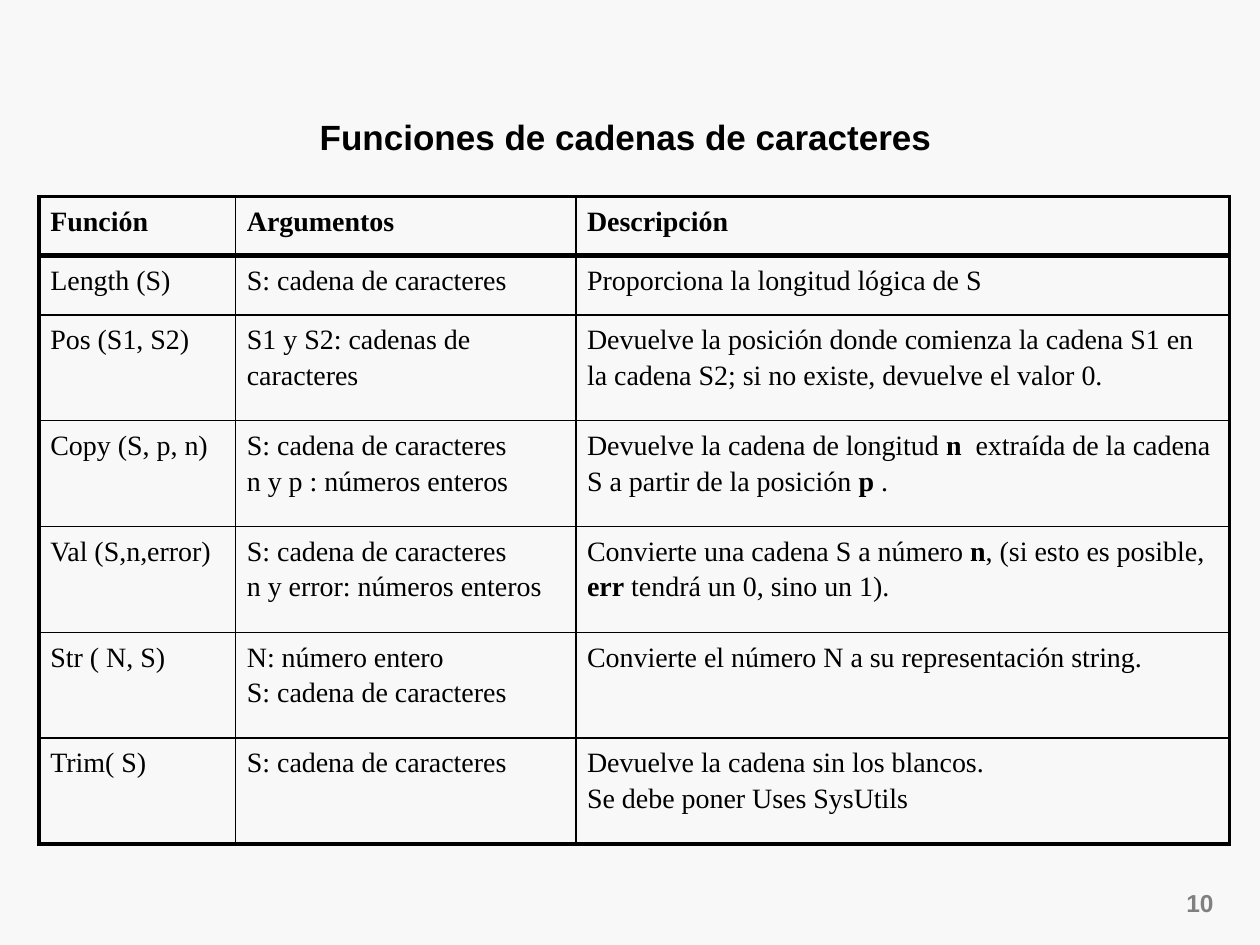
"""Build a slide with a table of Pascal string functions."""
from dataclasses import dataclass

from lxml.etree import SubElement
from pptx import Presentation
from pptx.dml.color import RGBColor
from pptx.enum.text import MSO_ANCHOR, PP_ALIGN
from pptx.oxml.ns import qn
from pptx.table import _Cell
from pptx.text.text import Font
from pptx.util import Inches, Pt

BLACK = RGBColor(0x00, 0x00, 0x00)
GRAY = RGBColor(0x80, 0x80, 0x80)
PAPER = RGBColor(0xF8, 0xF8, 0xF8)
THIN, EDGE, RULE = 1, 2.25, 3
WIDTHS = (1.56, 2.7, 5.19)
SHORT, TALL = 0.47, 0.84


@dataclass
class Entry:
    """One row; ** marks bold text and a line feed starts a paragraph."""
    name: str
    args: str
    text: str
    height: float = TALL


ENTRIES = (
    Entry("**Función**", "**Argumentos**", "**Descripción**", SHORT),
    Entry("Length (S)", "S: cadena de caracteres",
          "Proporciona la longitud lógica de S", SHORT),
    Entry("Pos (S1, S2)", "S1 y S2: cadenas de caracteres",
          "Devuelve la posición donde comienza la cadena S1 en la cadena S2; "
          "si no existe, devuelve el valor 0."),
    Entry("Copy (S, p, n)", "S: cadena de caracteres\nn y p : números enteros",
          "Devuelve la cadena de longitud **n**  extraída de la cadena S "
          "a partir de la posición **p** ."),
    Entry("Val (S,n,error)", "S: cadena de caracteres\nn y error: números enteros",
          "Convierte una cadena S a número **n**, (si esto es posible, "
          "**err** tendrá un 0, sino un 1)."),
    Entry("Str ( N, S)", "N: número entero\nS: cadena de caracteres",
          "Convierte el número N a su representación string."),
    Entry("Trim( S)", "S: cadena de caracteres",
          "Devuelve la cadena sin los blancos.\nSe debe poner Uses SysUtils"),
)


def style(font: Font, name: str, size: float, color: RGBColor) -> None:
    """Set the face, size and colour of a font."""
    font.name, font.size = name, Pt(size)
    font.color.rgb = color


def write(cell: _Cell, text: str) -> None:
    """Fill a cell with marked-up text."""
    cell.margin_left = cell.margin_right = Inches(0.09)
    cell.margin_top = cell.margin_bottom = Inches(0.04)
    frame = cell.text_frame
    for i, line in enumerate(text.split("\n")):
        para = frame.add_paragraph() if i else frame.paragraphs[0]
        para.line_spacing = 1.15
        style(para.font, "Times New Roman", 16, BLACK)
        for j, part in enumerate(line.split("**")):
            if part:
                run = para.add_run()
                run.text = part
                run.font.bold = j % 2 == 1


def border(cell: _Cell, sides: dict[str, float]) -> None:
    """Draw the four borders of a cell and leave it unfilled."""
    props = cell._tc.get_or_add_tcPr()
    for side, width in sides.items():
        line = SubElement(props, qn(f"a:ln{side}"), w=str(Pt(width)))
        fill = SubElement(line, qn("a:solidFill"))
        SubElement(fill, qn("a:srgbClr"), val=str(BLACK))
    cell.fill.background()


def main() -> None:
    """Build and save the slide."""
    deck = Presentation()
    deck.slide_width, deck.slide_height = Inches(10), Inches(7.5)
    slide = deck.slides.add_slide(deck.slide_layouts[5])
    slide.background.fill.solid()
    slide.background.fill.fore_color.rgb = PAPER

    title = slide.shapes.title
    title.left, title.top = Inches(1.17), Inches(0.86)
    title.width, title.height = Inches(7.67), Inches(0.44)
    title.text_frame.text = "Funciones de cadenas de caracteres "
    title.text_frame.vertical_anchor = MSO_ANCHOR.MIDDLE
    head = title.text_frame.paragraphs[0]
    head.alignment = PP_ALIGN.CENTER
    style(head.font, "Arial", 20, BLACK)
    head.font.bold = True

    last = len(ENTRIES) - 1
    end = len(WIDTHS) - 1
    grid = slide.shapes.add_table(
        len(ENTRIES), len(WIDTHS), Inches(0.31), Inches(1.56),
        Inches(sum(WIDTHS)), Inches(sum(e.height for e in ENTRIES))).table
    grid.first_row = grid.horz_banding = False
    for col, width in zip(grid.columns, WIDTHS):
        col.width = Inches(width)
    for r, entry in enumerate(ENTRIES):
        grid.rows[r].height = Inches(entry.height)
        top = {0: EDGE, 1: RULE}.get(r, THIN)
        base = {0: RULE, last: EDGE}.get(r, THIN)
        for c, text in enumerate((entry.name, entry.args, entry.text)):
            cell = grid.cell(r, c)
            write(cell, text)
            border(cell, {"L": THIN if c else EDGE,
                          "R": EDGE if c == end else THIN,
                          "T": top, "B": base})

    box = slide.shapes.add_textbox(
        Inches(9.08), Inches(7), Inches(0.65), Inches(0.33))
    box.text_frame.word_wrap = True
    box.text_frame.text = "10"
    page = box.text_frame.paragraphs[0]
    page.alignment = PP_ALIGN.RIGHT
    style(page.font, "Arial", 14, GRAY)
    page.font.bold = True

    deck.save("out.pptx")


if __name__ == "__main__":
    main()
